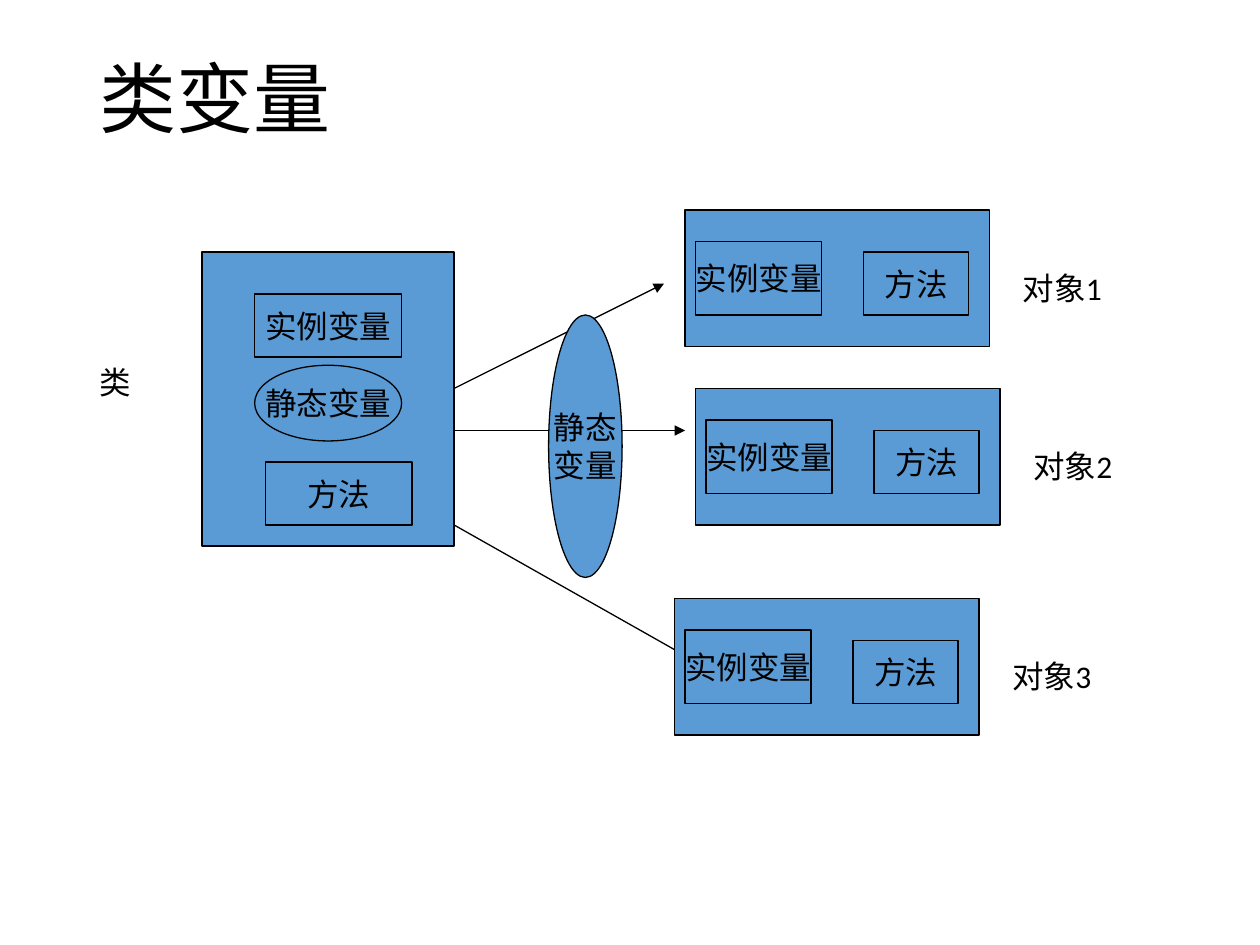
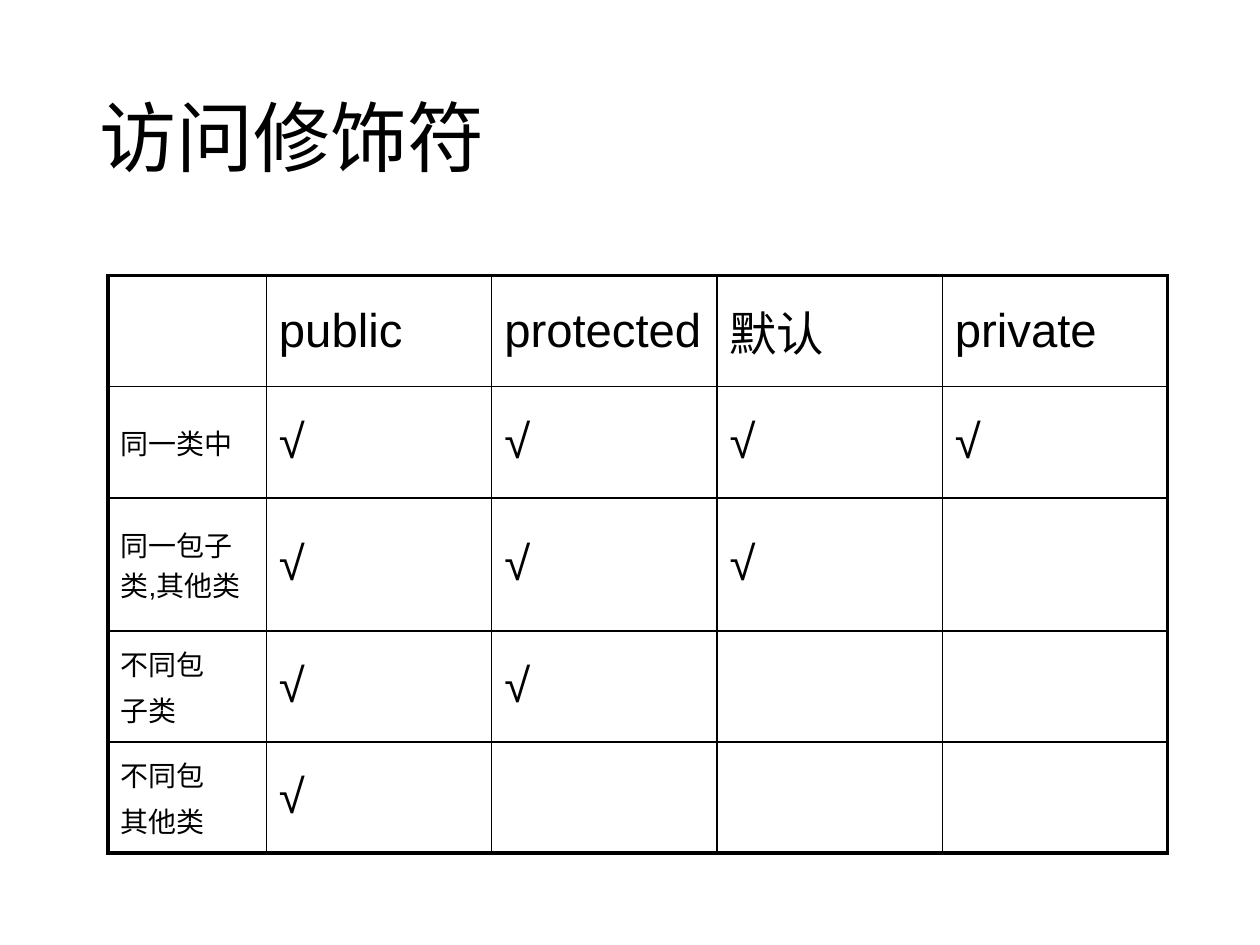
"""Build two slides on class variables and access modifiers."""
import lxml.etree
import pptx
import pptx.dml.color
import pptx.enum.shapes
import pptx.enum.text
import pptx.oxml.ns
import pptx.util

Pt = pptx.util.Pt
RECT = pptx.enum.shapes.MSO_SHAPE.RECTANGLE
OVAL = pptx.enum.shapes.MSO_SHAPE.OVAL
CENTER = pptx.enum.text.PP_ALIGN.CENTER
MIDDLE = pptx.enum.text.MSO_ANCHOR.MIDDLE
BLACK = "000000"
BLUE = "5B9BD5"
BODY_FONT = "Calibri"
TABLE_FONT = "Arial"
TICK = "√"

OBJECTS = [("对象1", 391.5, 120), ("对象2", 397.5, 222), ("对象3", 385.5, 342)]
ARROWS = [(222, 379.5, 162), (246, 391.5, 246), (300, 397.5, 378)]
MODIFIERS = ["", "public", "protected", "默认", "private"]
SCOPES = [("同一类中", 4), ("同一包子类,其他类", 3), ("不同包\n子类", 2), ("不同包\n其他类", 1)]
ROW_HEIGHTS = [63.5, 63.5, 76, 63.5, 63.5]
COLUMN_WIDTHS = [90.5] + [128.75] * 4


def color(hex_value):
    """Turn a hex string into a colour."""
    return pptx.dml.color.RGBColor.from_string(hex_value)


def add_xml(parent, tag, **attributes):
    """Append a DrawingML child element."""
    return lxml.etree.SubElement(parent, pptx.oxml.ns.qn(tag), **attributes)


def write(frame, text, size, font=BODY_FONT, align=None, space_before=None, line_spacing=None):
    """Fill a text frame and format all its paragraphs."""
    frame.text = text
    for paragraph in frame.paragraphs:
        paragraph.alignment = align
        paragraph.space_before = space_before
        paragraph.line_spacing = line_spacing
        for run in paragraph.runs:
            run.font.size = Pt(size)
            run.font.name = font
            run.font.color.rgb = color(BLACK)


def add_text(slide, text, left, top, width, height, size=18, line_spacing=None):
    """Add a wrapped text box centred vertically."""
    frame = slide.shapes.add_textbox(Pt(left), Pt(top), Pt(width), Pt(height)).text_frame
    frame.word_wrap = True
    frame.vertical_anchor = MIDDLE
    write(frame, text, size, line_spacing=line_spacing)


def add_title(slide, text, height):
    """Add the slide title."""
    add_text(slide, text, 50, 28.75, 621, height, size=44, line_spacing=0.9)


def add_box(slide, left, top, width, height, text="", kind=RECT):
    """Add a blue outlined shape with an optional centred caption."""
    box = slide.shapes.add_shape(kind, Pt(left), Pt(top), Pt(width), Pt(height))
    box.shadow.inherit = False
    box.fill.solid()
    box.fill.fore_color.rgb = color(BLUE)
    box.line.color.rgb = color(BLACK)
    box.line.width = Pt(0.75)
    if text:
        box.text_frame.word_wrap = False
        box.text_frame.vertical_anchor = MIDDLE
        write(box.text_frame, text, 18, align=CENTER)


def add_arrow(slide, x1, y1, x2, y2):
    """Add a thin black arrow."""
    arrow = slide.shapes.add_connector(
        pptx.enum.shapes.MSO_CONNECTOR.STRAIGHT, Pt(x1), Pt(y1), Pt(x2), Pt(y2))
    arrow.line.color.rgb = color(BLACK)
    arrow.line.width = Pt(0.75)
    add_xml(arrow.line._get_or_add_ln(), "a:tailEnd", type="triangle")
    add_xml(arrow._element.spPr, "a:effectLst")


def add_object(slide, label, left, top):
    """Add one object with its members and its label."""
    add_box(slide, left, top, 174, 78)
    add_box(slide, left + 6, top + 18, 72, 42, "实例变量")
    add_box(slide, left + 102, top + 24, 60, 36, "方法")
    add_text(slide, label, left + 186, top + 30, 66, 29)


def add_border(cell, side, width):
    """Draw one black edge of a cell."""
    edge = add_xml(cell._tc.get_or_add_tcPr(), f"a:ln{side}", w=str(Pt(width)))
    add_xml(add_xml(edge, "a:solidFill"), "a:srgbClr", val=BLACK)


def style_cell(cell, text, size, outer_sides):
    """Write a cell, with thick edges on the outer sides."""
    cell.vertical_anchor = MIDDLE
    for side in "LRTB":
        add_border(cell, side, 2.25 if side in outer_sides else 1)
    cell.fill.background()
    if text:
        write(cell.text_frame, text, size, TABLE_FONT, space_before=Pt(size * 0.2))


def add_access_table(slide):
    """Add the table of modifiers by scope."""
    rows = [MODIFIERS]
    for scope, ticks in SCOPES:
        rows.append([scope] + [TICK] * ticks + [""] * (4 - ticks))
    last_row, last_column = len(rows) - 1, len(MODIFIERS) - 1
    table = slide.shapes.add_table(
        len(rows), len(MODIFIERS), Pt(61.75), Pt(157.5),
        Pt(sum(COLUMN_WIDTHS)), Pt(sum(ROW_HEIGHTS))).table
    table.first_row = table.horz_banding = False
    for column, width in zip(table.columns, COLUMN_WIDTHS):
        column.width = Pt(width)
    for r, texts in enumerate(rows):
        table.rows[r].height = Pt(ROW_HEIGHTS[r])
        for c, text in enumerate(texts):
            edges = {"L": c == 0, "R": c == last_column, "T": r == 0, "B": r == last_row}
            outer_sides = [side for side, is_outer in edges.items() if is_outer]
            style_cell(table.cell(r, c), text, 27 if c else 16, outer_sides)


def build_class_variables(slide):
    """Show a class and three objects sharing a static variable."""
    add_box(slide, 115.5, 144, 144, 168)
    add_box(slide, 145.5, 168, 84, 36, "实例变量")
    add_box(slide, 145.5, 208.75, 84, 43.25, "静态变量", OVAL)
    add_box(slide, 151.5, 264, 84, 36, "方法")
    add_text(slide, "类", 49.5, 203.5, 48, 29)
    for start_y, end_x, end_y in ARROWS:
        add_arrow(slide, 259.5, start_y, end_x, end_y)
    for label, left, top in OBJECTS:
        add_object(slide, label, left, top)
    add_box(slide, 313.5, 180, 42, 150, "静态\n变量", OVAL)
    add_title(slide, "类变量", 60)


def build_access_modifiers(slide):
    """Show which scopes each modifier reaches."""
    add_title(slide, "访问修饰符", 104.5)
    add_access_table(slide)


def main():
    """Build and save the presentation."""
    deck = pptx.Presentation()
    deck.slide_width, deck.slide_height = Pt(720), Pt(540)
    for build in (build_class_variables, build_access_modifiers):
        build(deck.slides.add_slide(deck.slide_layouts[6]))
    deck.save("out.pptx")


if __name__ == "__main__":
    main()
